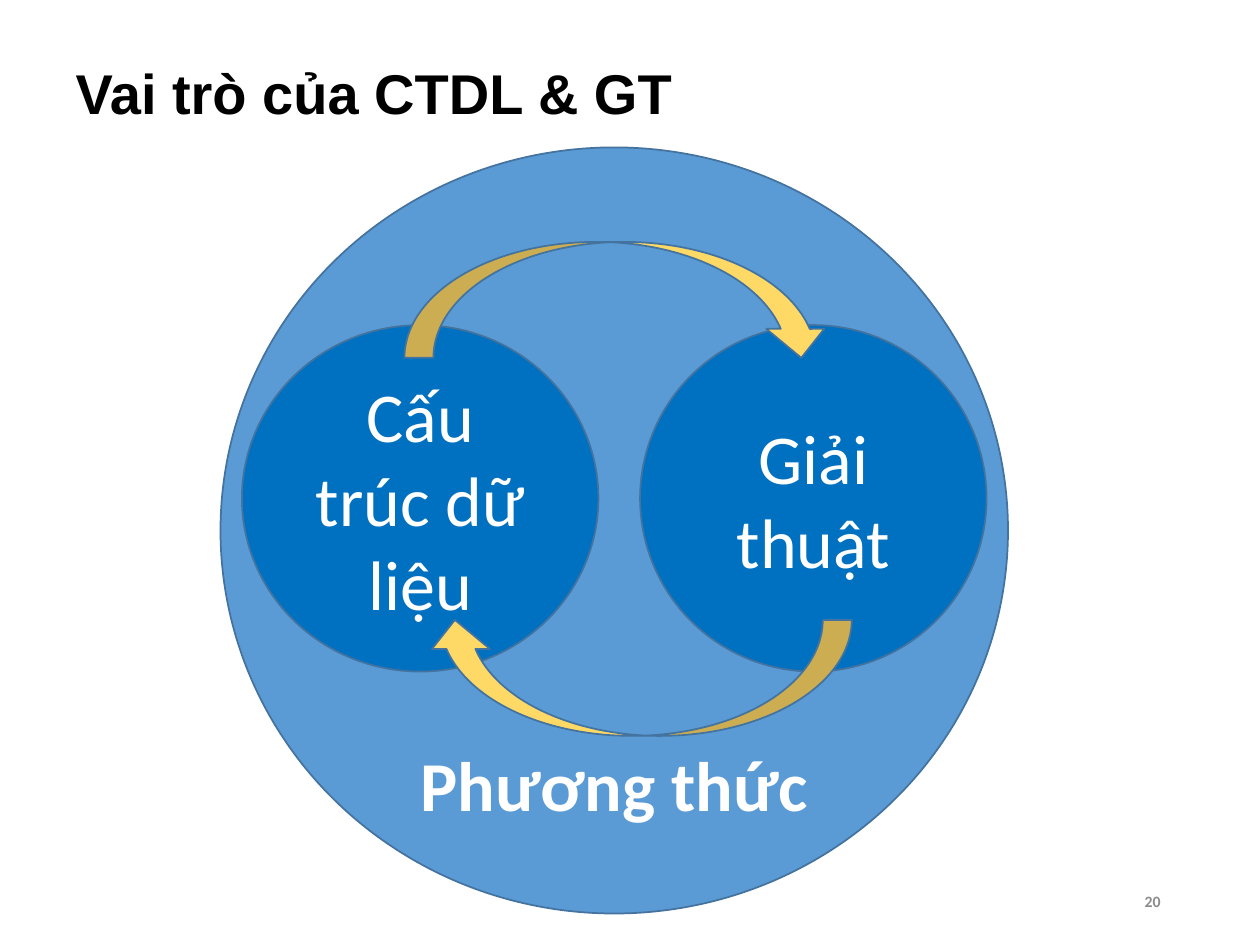
from pptx import Presentation
from pptx.dml.color import RGBColor
from pptx.enum.shapes import MSO_SHAPE
from pptx.enum.text import MSO_ANCHOR, MSO_AUTO_SIZE, PP_ALIGN
from pptx.util import Inches, Pt

OVAL = MSO_SHAPE.OVAL
CURVED_ARROW = MSO_SHAPE.CURVED_DOWN_ARROW
MIDDLE = MSO_ANCHOR.MIDDLE
NO_AUTOFIT = MSO_AUTO_SIZE.NONE
LEFT, CENTER, RIGHT = PP_ALIGN.LEFT, PP_ALIGN.CENTER, PP_ALIGN.RIGHT

BLACK = RGBColor(0x00, 0x00, 0x00)
WHITE = RGBColor(0xFF, 0xFF, 0xFF)
GRAY = RGBColor(0x8C, 0x8C, 0x8C)
LIGHT_BLUE = RGBColor(0x5B, 0x9B, 0xD5)
DARK_BLUE = RGBColor(0x00, 0x70, 0xC0)
OUTLINE = RGBColor(0x43, 0x73, 0x9E)
YELLOW = RGBColor(0xFF, 0xD9, 0x66)


def write_text(shape, text, size, color, alignment, bold=False, font="Calibri"):
    frame = shape.text_frame
    frame.text = text
    frame.word_wrap = True
    frame.auto_size = NO_AUTOFIT
    frame.vertical_anchor = MIDDLE
    paragraph = frame.paragraphs[0]
    paragraph.alignment = alignment
    paragraph.font.name = font
    paragraph.font.size = Pt(size)
    paragraph.font.bold = bold
    paragraph.font.color.rgb = color


def add_title(slide, text):
    title = slide.shapes.title
    title.left, title.top = Inches(0.5), Inches(0.3)
    title.width, title.height = Inches(8.17), Inches(0.87)
    write_text(title, text, 32, BLACK, LEFT, True, "Arial")


def add_label(slide, left, top, width, height, text, size, color, alignment):
    label = slide.shapes.add_textbox(
        Inches(left), Inches(top), Inches(width), Inches(height))
    write_text(label, text, size, color, alignment, True)


def add_outlined_shape(slide, kind, left, top, width, height, fill):
    shape = slide.shapes.add_shape(
        kind, Inches(left), Inches(top), Inches(width), Inches(height))
    shape.shadow.inherit = False
    shape.fill.solid()
    shape.fill.fore_color.rgb = fill
    shape.line.color.rgb = OUTLINE
    shape.line.width = Pt(1)
    return shape


def add_concept(slide, left, width, text):
    circle = add_outlined_shape(slide, OVAL, left, 2.58, width, 2.75, DARK_BLUE)
    write_text(circle, text, 40, WHITE, CENTER)


def add_cycle_arrow(slide, left, top, rotation):
    arrow = add_outlined_shape(slide, CURVED_ARROW, left, top, 3.38, 0.92, YELLOW)
    arrow.rotation = rotation


def main():
    presentation = Presentation()
    presentation.slide_width = Inches(10)
    presentation.slide_height = Inches(7.5)
    slide = presentation.slides.add_slide(presentation.slide_layouts[5])

    add_title(slide, "Vai trò của CTDL & GT")
    add_label(slide, 6.62, 6.95, 2.69, 0.4, "20", 9, GRAY, RIGHT)
    add_outlined_shape(slide, OVAL, 1.75, 1.17, 6.25, 6.08, LIGHT_BLUE)
    add_label(slide, 2.67, 5.83, 4.41, 0.78, "Phương thức", 40, WHITE, CENTER)
    add_concept(slide, 1.92, 2.83, "Cấu trúc dữ liệu")
    add_concept(slide, 5.08, 2.75, "Giải thuật")
    add_cycle_arrow(slide, 3.21, 1.92, 0)
    add_cycle_arrow(slide, 3.38, 4.92, 180)

    presentation.save("out.pptx")


if __name__ == "__main__":
    main()
